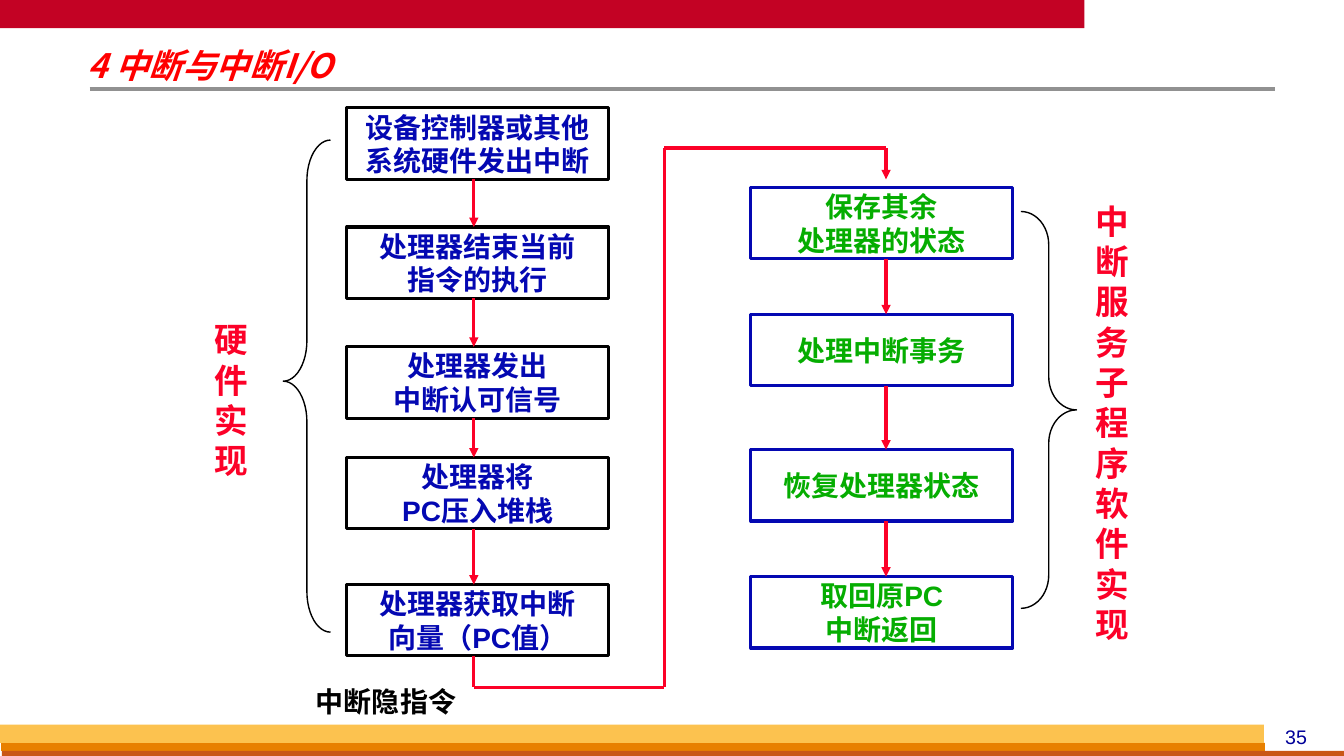
from dataclasses import dataclass
from itertools import pairwise

from lxml.etree import SubElement
from pptx import Presentation
from pptx.dml.color import RGBColor
from pptx.enum.shapes import MSO_CONNECTOR as Link, MSO_SHAPE as Preset
from pptx.enum.text import MSO_ANCHOR as Anchor, MSO_AUTO_SIZE as AutoSize, PP_ALIGN as Align
from pptx.oxml.ns import qn
from pptx.shapes.autoshape import Shape
from pptx.shapes.connector import Connector
from pptx.slide import Slide
from pptx.text.text import TextFrame
from pptx.util import Cm, Pt


@dataclass(frozen=True)
class Theme:
    latin: str = "Arial"
    chinese: str = "Noto Sans CJK SC"
    title: str = "FF0000"
    red: str = "FC0128"
    blue: str = "0408B2"
    green: str = "05AD01"
    black: str = "000000"
    grey: str = "919191"
    number: str = "000099"
    heading_size: int = 24
    body_size: int = 20
    number_size: int = 14
    thin: float = 1
    medium: float = 2.25
    thick: float = 3


THEME = Theme()
Point = tuple[float, float]


@dataclass(frozen=True)
class Area:
    """A rectangle in centimetres."""
    left: float
    top: float
    width: float
    height: float

    def lengths(self) -> tuple[Cm, Cm, Cm, Cm]:
        return Cm(self.left), Cm(self.top), Cm(self.width), Cm(self.height)


@dataclass(frozen=True)
class Band:
    area: Area
    color: str


@dataclass(frozen=True)
class Step:
    top: float
    text: str


@dataclass(frozen=True)
class Column:
    left: float
    arrow_x: float
    border: str
    text_color: str
    steps: tuple[Step, ...]


@dataclass(frozen=True)
class Brace:
    area: Area
    preset: Preset
    curve: float
    tip: float


@dataclass(frozen=True)
class Label:
    area: Area
    text: str
    size: int
    color: str
    bold: bool = True


STEP_WIDTH, STEP_HEIGHT = 6.6, 1.8

BANDS = (
    Band(Area(0, 0, 27.33, 0.71), "C30224"),
    Band(Area(0.03, 18.72, 31.85, 0.2), "E88000"),
    Band(Area(0.05, 18.92, 33.82, 0.2), "C95616"),
    Band(Area(0, 18.26, 31.85, 0.46), "FCC24F"),
)
HARDWARE = Column(8.74, 11.94, THEME.black, THEME.blue, (
    Step(2.72, "设备控制器或其他\n系统硬件发出中断"),
    Step(5.72, "处理器结束当前\n指令的执行"),
    Step(8.74, "处理器发出\n中断认可信号"),
    Step(11.53, "处理器将\nPC压入堆栈"),
    Step(14.83 - 0.1, "处理器获取中断\n向量（PC值）"),
))
SOFTWARE = Column(18.92, 22.33, THEME.blue, THEME.green, (
    Step(4.72, "保存其余\n处理器的状态"),
    Step(7.92, "处理中断事务"),
    Step(11.33, "恢复处理器状态"),
    Step(14.53, "取回原PC\n中断返回"),
))
DETOUR: tuple[Point, ...] = (
    (11.94, 16.53), (11.94, 17.32), (16.74, 17.32),
    (16.74, 3.73), (22.33, 3.73), (22.33, 4.52),
)
BRACES = (
    Brace(Area(7.14, 3.53, 1.19, 12.4), Preset.LEFT_BRACE, 0.86, 0.49),
    Brace(Area(25.73, 5.33, 1.4, 10), Preset.RIGHT_BRACE, 0.6, 0.5),
)
LABELS = (
    Label(Area(4.93, 7.92, 1.8, 4.37), "硬件实现", THEME.heading_size, THEME.red),
    Label(Area(27.13, 4.93, 1.8, 11.53), "中断服务子程序软件实现", THEME.heading_size, THEME.red),
    Label(Area(4.93, 17.12, 9.6, 1.12), "中断隐指令", THEME.body_size, THEME.black),
    Label(Area(31.6, 18.14, 2.13, 0.84), "35", THEME.number_size, THEME.number, bold=False),
)


def write(frame: TextFrame, text: str, size: int, color: str, bold: bool = True,
          italic: bool = False, latin: str = THEME.latin, align: Align = Align.CENTER) -> None:
    frame.text = text
    for para in frame.paragraphs:
        para.alignment = align
        for span in para.runs:
            font = span.font
            font.name, font.size, font.bold, font.italic = latin, Pt(size), bold, italic
            font.color.rgb = RGBColor.from_string(color)
            SubElement(font._element, qn("a:ea"), typeface=THEME.chinese)


def add_outline(page: Slide, preset: Preset, area: Area, color: str, width: float) -> Shape:
    shape = page.shapes.add_shape(preset, *area.lengths())
    shape.shadow.inherit = False
    shape.fill.background()
    shape.line.color.rgb = RGBColor.from_string(color)
    shape.line.width = Pt(width)
    return shape


def add_line(page: Slide, start: Point, end: Point, color: str = THEME.red,
             width: float = THEME.medium, arrow: bool = False) -> Connector:
    line = page.shapes.add_connector(Link.STRAIGHT, *map(Cm, start + end))
    line.line.color.rgb = RGBColor.from_string(color)
    line.line.width = Pt(width)
    if arrow:
        SubElement(line.line._get_or_add_ln(), qn("a:tailEnd"), type="triangle")
    SubElement(line._element.spPr, qn("a:effectLst"))
    return line


def add_band(page: Slide, band: Band) -> None:
    shape = page.shapes.add_shape(Preset.RECTANGLE, *band.area.lengths())
    shape.shadow.inherit = False
    shape.fill.solid()
    shape.fill.fore_color.rgb = RGBColor.from_string(band.color)
    shape.line.fill.background()


def add_column(page: Slide, column: Column) -> None:
    """Draw the steps and the arrows that lead from each one to the next."""
    for step in column.steps:
        area = Area(column.left, step.top, STEP_WIDTH, STEP_HEIGHT)
        box = add_outline(page, Preset.RECTANGLE, area, column.border, THEME.medium)
        box.text_frame.word_wrap = False
        box.text_frame.vertical_anchor = Anchor.MIDDLE
        write(box.text_frame, step.text, THEME.body_size, column.text_color)
    for upper, lower in pairwise(column.steps):
        add_line(page, (column.arrow_x, upper.top + STEP_HEIGHT),
                 (column.arrow_x, lower.top), arrow=True)


def add_brace(page: Slide, brace: Brace) -> None:
    shape = add_outline(page, brace.preset, brace.area, THEME.black, THEME.thin)
    shape.adjustments[0], shape.adjustments[1] = brace.curve, brace.tip


def add_label(page: Slide, label: Label) -> None:
    box = page.shapes.add_textbox(*label.area.lengths())
    box.text_frame.word_wrap = True
    write(box.text_frame, label.text, label.size, label.color, label.bold)


def set_title(page: Slide, text: str) -> None:
    title = page.shapes.title
    title.left, title.top, title.width, title.height = Area(2.03, 1.19, 14.6, 1.04).lengths()
    frame = title.text_frame
    frame.auto_size = AutoSize.NONE
    frame.vertical_anchor = Anchor.TOP
    frame.margin_left = frame.margin_right = Cm(0.18)
    frame.margin_top = frame.margin_bottom = Cm(0.08)
    write(frame, text, THEME.heading_size, THEME.title, italic=True,
          latin=THEME.chinese, align=Align.LEFT)
    frame.paragraphs[0].line_spacing = 0.87


def main() -> None:
    deck = Presentation()
    deck.slide_width, deck.slide_height = Cm(33.87), Cm(19.05)
    page = deck.slides.add_slide(deck.slide_layouts.get_by_name("Title Only"))
    for band in BANDS:
        add_band(page, band)
    add_line(page, (2.26, 2.24), (32.13, 2.24), THEME.grey, THEME.thick)
    set_title(page, "4 中断与中断I/O")
    for column in (HARDWARE, SOFTWARE):
        add_column(page, column)
    for start, end in pairwise(DETOUR):
        add_line(page, start, end, arrow=end == DETOUR[-1])
    for brace in BRACES:
        add_brace(page, brace)
    for label in LABELS:
        add_label(page, label)
    deck.save("out.pptx")


if __name__ == "__main__":
    main()
